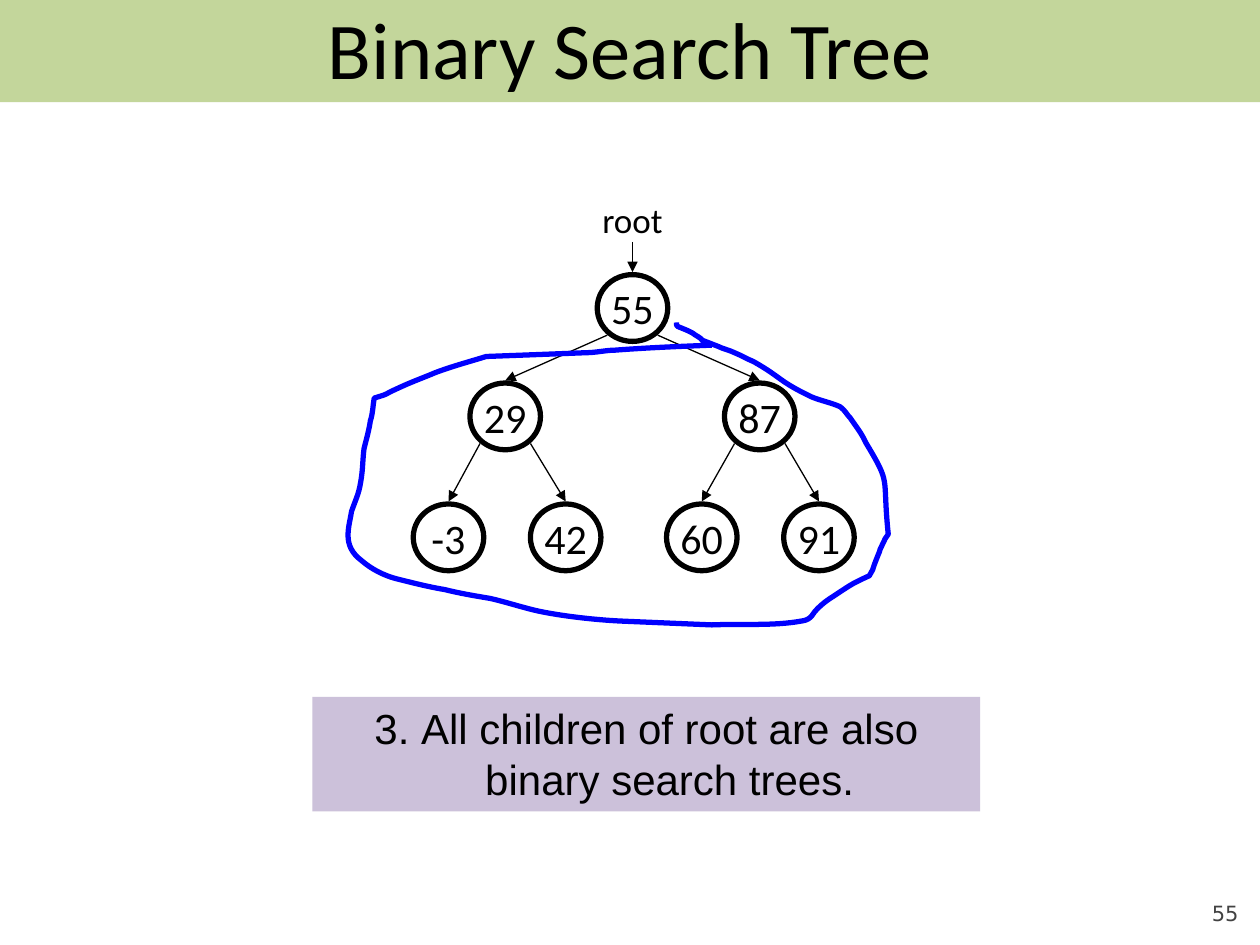
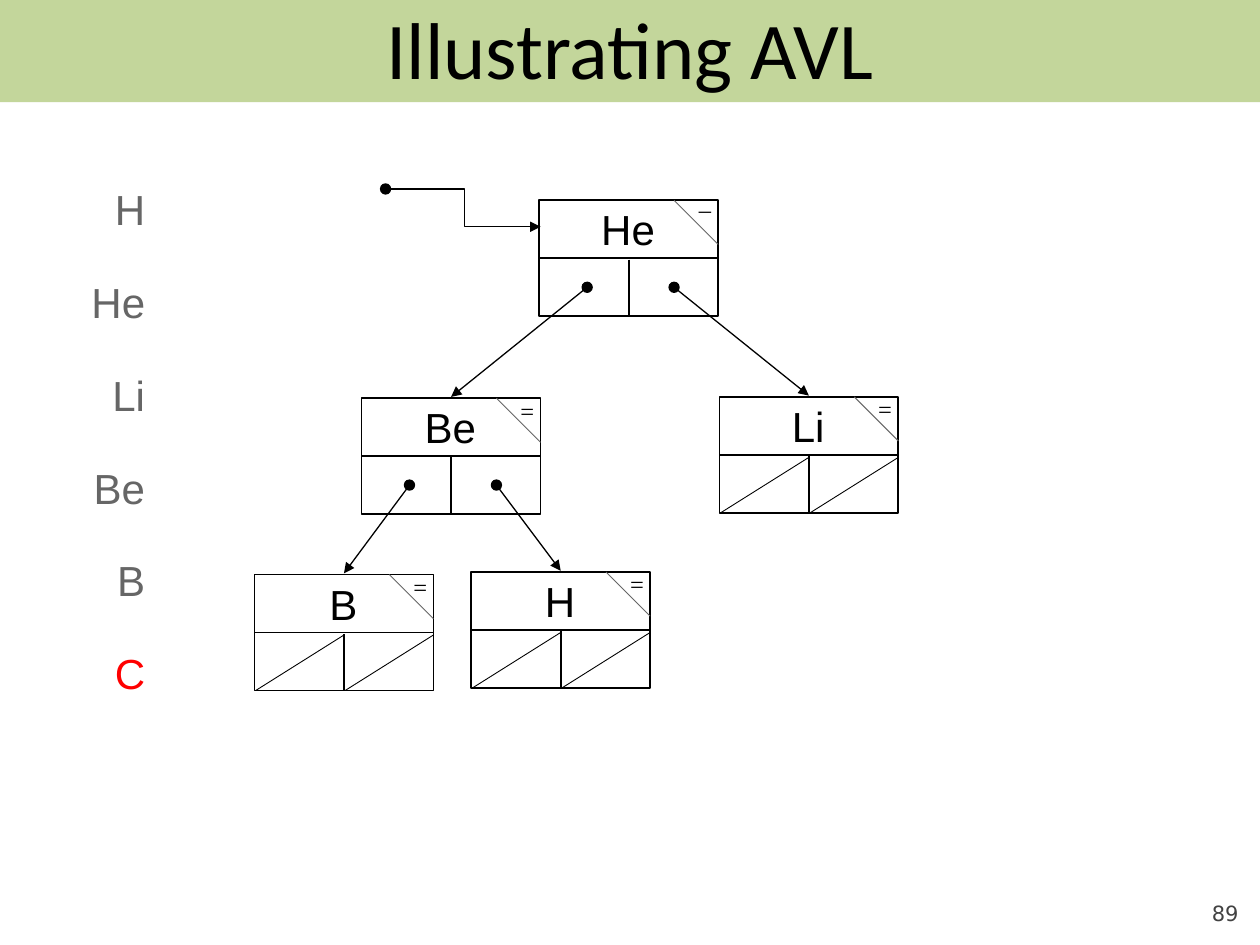
from pptx import Presentation
from pptx import util as u
from pptx.dml.color import RGBColor
from pptx.enum import shapes, text
from pptx.oxml.ns import qn
from lxml import etree

COLORS = {"band": "C3D69B", "ink": "000000", "paper": "FFFFFF", "footer": "424242",
          "rule": "CCC1DA", "stroke": "0000FF", "done": "666666", "current": "FF0000"}
ALIGN, ANCHOR = text.PP_ALIGN, text.MSO_ANCHOR
SHAPE, CONNECTOR = shapes.MSO_SHAPE, shapes.MSO_CONNECTOR

# Binary search tree: key -> (left, top, children)
BST = {"55": (4.74, 2.18, ("29", "87")),
       "29": (3.73, 3.04, ("-3", "42")),
       "87": (5.75, 3.04, ("60", "91")),
       "-3": (3.28, 4, ()), "42": (4.21, 4, ()),
       "60": (5.29, 4, ()), "91": (6.22, 4, ())}
NODE_W, NODE_H = 0.56, 0.53

# AVL tree: key -> (left, top, balance, children)
AVL = {"He": (4.28, 1.59, "–", ("Be", "Li")),
       "Li": (5.71, 3.15, "=", ()),
       "Be": (2.87, 3.16, "=", ("B", "H")),
       "B": (2.02, 4.56, "=", ()),
       "H": (3.74, 4.54, "=", ())}
BALANCE_LIFT = {"–": 0.1, "=": 0.07}
CELL_W, CELL_H = 0.71, 0.46
DOT = 0.08
INSERTED = ["H", "He", "Li", "Be", "B", "C"]
LIST_TOP, LIST_BOTTOM = 1.41, 5.09

# Hand-drawn loop: start point, then Bézier segments (control, control, end)
LOOP_START = (5.65, 2.74)
LOOP = [
    (5.39, 2.75, 5.14, 2.76, 4.88, 2.78), (4.81, 2.78, 4.73, 2.8, 4.65, 2.8),
    (4.39, 2.81, 4.13, 2.82, 3.86, 2.83), (3.73, 2.87, 3.58, 2.91, 3.45, 2.96),
    (3.38, 2.99, 3.3, 3.02, 3.23, 3.05), (2.98, 3.16, 3.13, 3.11, 2.97, 3.16),
    (2.96, 3.22, 2.96, 3.28, 2.94, 3.34), (2.93, 3.41, 2.91, 3.48, 2.89, 3.56),
    (2.88, 3.63, 2.88, 3.71, 2.87, 3.78), (2.85, 3.92, 2.84, 3.92, 2.79, 4.06),
    (2.77, 4.19, 2.71, 4.33, 2.87, 4.45), (2.94, 4.51, 3.04, 4.57, 3.17, 4.6),
    (3.29, 4.63, 3.41, 4.66, 3.53, 4.68), (3.65, 4.71, 3.77, 4.73, 3.89, 4.75),
    (4.02, 4.78, 4.14, 4.82, 4.27, 4.85), (4.46, 4.89, 4.72, 4.92, 4.93, 4.93),
    (5.17, 4.94, 5.65, 4.96, 5.65, 4.96), (5.89, 4.95, 6.14, 4.97, 6.36, 4.93),
    (6.45, 4.92, 6.45, 4.86, 6.49, 4.83), (6.53, 4.79, 6.57, 4.76, 6.62, 4.73),
    (6.77, 4.63, 6.77, 4.63, 6.9, 4.57), (6.96, 4.46, 6.89, 4.6, 6.98, 4.38),
    (6.98, 4.37, 6.99, 4.35, 7, 4.33), (7.04, 4.25, 7.01, 4.3, 7.05, 4.24),
    (7, 3.76, 7.08, 3.86, 6.87, 3.51), (6.84, 3.44, 6.79, 3.38, 6.75, 3.32),
    (6.72, 3.29, 6.71, 3.26, 6.67, 3.23), (6.61, 3.2, 6.51, 3.18, 6.44, 3.15),
    (6.17, 3.02, 6.21, 3, 5.98, 2.87), (5.93, 2.85, 5.88, 2.82, 5.83, 2.8),
    (5.79, 2.78, 5.74, 2.77, 5.7, 2.75), (5.47, 2.66, 5.64, 2.73, 5.52, 2.66),
    (5.51, 2.65, 5.49, 2.64, 5.47, 2.63), (5.36, 2.58, 5.37, 2.6, 5.37, 2.56)]


def rgb(name):
    return RGBColor.from_string(COLORS[name])


def inches(*values):
    return [u.Inches(value) for value in values]


def write(shape, words, size, font="Arial", color="ink", align=ALIGN.CENTER,
          anchor=ANCHOR.TOP, wrap=True):
    frame = shape.text_frame
    frame.text = words
    frame.word_wrap = wrap
    frame.vertical_anchor = anchor
    para = frame.paragraphs[0]
    para.alignment = align
    for span in para.runs:
        span.font.size = u.Pt(size)
        span.font.name = font
        span.font.color.rgb = rgb(color)
    return frame


def add_text(page, place, words, size, **style):
    return write(page.shapes.add_textbox(*inches(*place)), words, size, **style)


def add_box(page, kind, place, fill, line_width=None):
    box = page.shapes.add_shape(kind, *inches(*place))
    box.shadow.inherit = False
    box.fill.solid()
    box.fill.fore_color.rgb = rgb(fill)
    if line_width:
        box.line.color.rgb = rgb("ink")
        box.line.width = u.Pt(line_width)
    else:
        box.line.fill.background()
    return box


def add_line(page, start, end, width, color="ink", arrow=False, kind=CONNECTOR.STRAIGHT):
    line = page.shapes.add_connector(kind, *inches(*start, *end))
    line.line.color.rgb = rgb(color)
    line.line.width = u.Pt(width)
    properties = line._element.spPr
    etree.SubElement(properties, qn("a:effectLst"))
    if arrow:
        etree.SubElement(properties.find(qn("a:ln")), qn("a:tailEnd"), type="triangle")


def add_dot(page, x, y):
    """Draw a pointer's starting dot, centred on x, y."""
    add_box(page, SHAPE.OVAL, (x - DOT / 2, y - DOT / 2, DOT, DOT), "ink", 0.75)


def add_page(deck, title, number):
    page = deck.slides.add_slide(deck.slide_layouts[6])
    footer = add_text(page, (9, 6.95, 0.83, 0.4), number, 12, font="DejaVu Sans",
                      color="footer", align=ALIGN.RIGHT, anchor=ANCHOR.BOTTOM)
    footer.margin_left = footer.margin_right = footer.margin_top = footer.margin_bottom = 0
    band = add_box(page, SHAPE.ROUNDED_RECTANGLE, (0, 0, 10, 0.81), "band")
    band.adjustments[0] = 0
    add_text(page, (0.5, 0, 9, 0.75), title, 46, font="Calibri", anchor=ANCHOR.MIDDLE)
    return page


def add_search_tree(page):
    for key, (left, top, children) in BST.items():
        middle = left + NODE_W / 2
        node = add_box(page, SHAPE.OVAL, (left, top, NODE_W, NODE_H), "paper", 3)
        write(node, key, 24, font="Calibri", anchor=ANCHOR.MIDDLE, wrap=False)
        for child, side in zip(children, (-0.2, 0.2)):
            child_left, child_top, _ = BST[child]
            add_line(page, (middle + side, top + NODE_H - 0.05),
                     (child_left + NODE_W / 2, child_top - 0.02), 0.75, arrow=True)
    add_text(page, (4.68, 1.53, 0.68, 0.43), "root", 20, font="Calibri", wrap=False)
    add_line(page, (5.02, 1.92), (5.02, 2.16), 0.75, arrow=True)


def add_rule(page, words, number):
    box = add_box(page, SHAPE.RECTANGLE, (2.48, 5.53, 5.3, 0.91), "rule")
    para = write(box, words, 24).paragraphs[0]
    properties = para._p.get_or_add_pPr()
    properties.set("marL", str(u.Inches(0.37)))
    properties.set("indent", str(-u.Inches(0.37)))
    etree.SubElement(properties, qn("a:buAutoNum"), type="arabicPeriod", startAt=str(number))


def add_loop(page):
    """Draw the loop through its segment ends, then bend each segment into its curve."""
    builder = page.shapes.build_freeform(*inches(*LOOP_START))
    builder.add_line_segments([inches(*segment[4:]) for segment in LOOP], close=False)
    loop = builder.convert_to_shape()
    loop.shadow.inherit = False
    loop.fill.background()
    loop.line.color.rgb = rgb("stroke")
    loop.line.width = u.Pt(3)
    straight = list(loop._element.iter(qn("a:lnTo")))
    for piece, segment in zip(straight, LOOP):
        curve = etree.Element(qn("a:cubicBezTo"))
        for x, y in zip(segment[::2], segment[1::2]):
            etree.SubElement(curve, qn("a:pt"), x=str(u.Inches(x) - loop.left),
                             y=str(u.Inches(y) - loop.top))
        piece.getparent().replace(piece, curve)


def add_avl_node(page, key, left, top, balance, is_leaf):
    right, middle = left + 2 * CELL_W, left + CELL_W
    floor, bottom = top + CELL_H, top + 2 * CELL_H
    add_box(page, SHAPE.RECTANGLE, (left, top, 2 * CELL_W, 2 * CELL_H), "paper", 1)
    add_line(page, (left, floor), (right, floor), 1)
    add_line(page, (middle, floor + 0.01), (middle, bottom), 1)
    add_text(page, (left + 0.29, top - 0.02, 0.83, 0.5), key, 24)
    add_line(page, (right - 0.35, top), (right, top + 0.35), 0.5, "done")
    add_text(page, (left + 1.15, top - BALANCE_LIFT[balance], 0.33, 0.34), balance, 14,
             font="Times New Roman")
    if is_leaf:
        for cell in (left, middle):
            add_line(page, (cell + 0.01, bottom), (cell + CELL_W, floor + 0.02), 0.5)


def add_avl_tree(page):
    for key, (left, top, balance, children) in AVL.items():
        add_avl_node(page, key, left, top, balance, not children)
    for left, top, _, children in AVL.values():
        for child, offset in zip(children, (0.38, 1.07)):
            start = (left + offset, top + 0.69)
            child_left, child_top = AVL[child][:2]
            add_dot(page, *start)
            add_line(page, start, (child_left + CELL_W, child_top - 0.01), 0.75, arrow=True)
    add_dot(page, 3.06, 1.5)
    add_line(page, (3.08, 1.5), (4.29, 1.8), 0.75, arrow=True, kind=CONNECTOR.ELBOW)


def add_insert_list(page):
    pitch = (LIST_BOTTOM - LIST_TOP) / (len(INSERTED) - 1)
    for row, key in enumerate(INSERTED):
        color = "current" if key == INSERTED[-1] else "done"
        add_text(page, (0.58, LIST_TOP + row * pitch, 0.67, 0.5), key, 24,
                 color=color, align=ALIGN.RIGHT)


def main():
    deck = Presentation()
    deck.slide_width, deck.slide_height = inches(10, 7.5)

    page = add_page(deck, "Binary Search Tree", "55")
    add_search_tree(page)
    add_rule(page, "All children of root are also binary search trees.", 3)
    add_loop(page)

    page = add_page(deck, "Illustrating AVL", "89")
    add_avl_tree(page)
    add_insert_list(page)

    deck.save("out.pptx")


if __name__ == "__main__":
    main()
